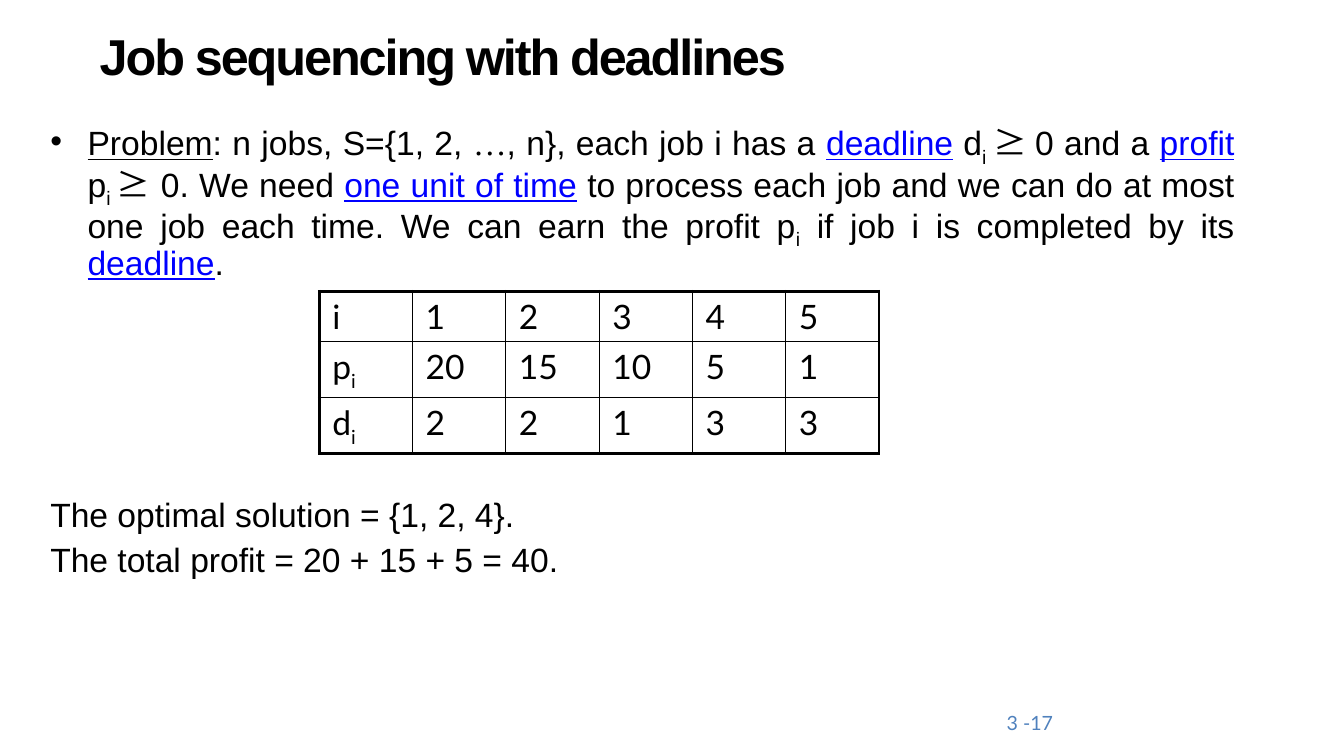
from dataclasses import dataclass, field
from typing import NamedTuple

from lxml import etree
from pptx import Presentation
from pptx.dml.color import RGBColor
from pptx.enum.text import MSO_ANCHOR, PP_ALIGN
from pptx.oxml.ns import qn
from pptx.util import Emu, Inches, Pt

LEFT, JUSTIFY = PP_ALIGN.LEFT, PP_ALIGN.JUSTIFY
TOP, MIDDLE = MSO_ANCHOR.TOP, MSO_ANCHOR.MIDDLE
TITLE_ONLY = 5
SLIDE_WIDTH, SLIDE_HEIGHT = Inches(13.33), Inches(7.5)
COLUMNS, ROWS = 120, 75


@dataclass(frozen=True)
class Theme:
    ink: RGBColor = RGBColor(0, 0, 0)
    key: RGBColor = RGBColor(0, 0, 255)
    number: RGBColor = RGBColor(0x4F, 0x81, 0xBD)
    text_font: str = "Arial"
    table_font: str = "Lato"
    symbol_font: str = "Noto Sans CJK TC"
    ellipsis_font: str = "Times New Roman"
    title_size: float = 36
    text_size: float = 24
    number_size: float = 14
    outer_line: float = 2.25
    inner_line: float = 1


THEME = Theme()


class Area(NamedTuple):
    """A place on the slide, in grid columns and rows."""
    column: float
    row: float
    columns: float
    rows: float

    def box(self) -> tuple[Emu, Emu, Emu, Emu]:
        across, down = SLIDE_WIDTH / COLUMNS, SLIDE_HEIGHT / ROWS
        return (Emu(round(self.column * across)), Emu(round(self.row * down)),
                Emu(round(self.columns * across)), Emu(round(self.rows * down)))


@dataclass(frozen=True)
class Span:
    text: str
    style: dict = field(default_factory=dict)


KEY = {"color": THEME.key, "underline": True}
SUBSCRIPT = {"baseline": -25}
SYMBOL = {"font": THEME.symbol_font}

PROBLEM = [
    Span("Problem", {"underline": True}),
    Span(": n jobs, S={1, 2, "),
    Span("…", {"font": THEME.ellipsis_font}),
    Span(", n}, each job i has a "),
    Span("deadline", KEY),
    Span(" d"),
    Span("i ", SUBSCRIPT),
    Span("≥ ", SYMBOL),
    Span("0 and a "),
    Span("profit", KEY),
    Span(" p"),
    Span("i ", SUBSCRIPT),
    Span("≥", SYMBOL),
    Span(" 0. We need "),
    Span("one unit of time", KEY),
    Span(" to process each job and we can do at most one job each time. "
         "We can earn the profit p"),
    Span("i", SUBSCRIPT),
    Span(" if job i is completed by its "),
    Span("deadline", KEY),
    Span("."),
]
RESULTS = ["The optimal solution = {1, 2, 4}.",
           "The total profit = 20 + 15 + 5 = 40."]
JOBS = [
    ([Span("i")], [1, 2, 3, 4, 5]),
    ([Span("p"), Span("i", SUBSCRIPT)], [20, 15, 10, 5, 1]),
    ([Span("d"), Span("i", SUBSCRIPT)], [2, 2, 1, 3, 3]),
]


def write(paragraph, text: str, *, font: str = THEME.text_font,
          size: float = THEME.text_size, color: RGBColor = THEME.ink,
          bold: bool = False, underline: bool = False,
          baseline: int = 0, spacing: float = 0) -> None:
    run = paragraph.add_run()
    run.text = text
    run.font.name, run.font.size = font, Pt(size)
    run.font.bold, run.font.underline = bold, underline
    run.font.color.rgb = color
    properties = run._r.get_or_add_rPr()
    if baseline:
        properties.set("baseline", str(baseline * 1000))
    if spacing:
        properties.set("spc", str(round(spacing * 100)))


def add_text_box(slide, area: Area, anchor=TOP):
    frame = slide.shapes.add_textbox(*area.box()).text_frame
    frame.word_wrap = True
    frame.vertical_anchor = anchor
    return frame


def space(paragraph, alignment=LEFT) -> None:
    paragraph.alignment = alignment
    paragraph.line_spacing = 0.9
    paragraph.space_before = Pt(6)


def add_bullet(paragraph) -> None:
    properties = paragraph._p.get_or_add_pPr()
    properties.set("marL", str(Inches(0.37)))
    properties.set("indent", str(-Inches(0.37)))
    etree.SubElement(properties, qn("a:buFont"), typeface=THEME.text_font)
    etree.SubElement(properties, qn("a:buChar"), char="•")


def add_border(cell, side: str, width: float) -> None:
    line = etree.SubElement(cell._tc.get_or_add_tcPr(), qn(f"a:ln{side}"), w=str(Pt(width)))
    fill = etree.SubElement(line, qn("a:solidFill"))
    etree.SubElement(fill, qn("a:srgbClr"), val=str(THEME.ink))


def add_title(slide, area: Area, text: str) -> None:
    title = slide.shapes.title
    title.left, title.top, title.width, title.height = area.box()
    title.text_frame.vertical_anchor = MIDDLE
    paragraph = title.text_frame.paragraphs[0]
    paragraph.alignment = LEFT
    write(paragraph, text, size=THEME.title_size, bold=True, spacing=-1.5)


def add_job_table(slide, area: Area) -> None:
    row_count, column_count = len(JOBS), 1 + len(JOBS[0][1])
    table = slide.shapes.add_table(row_count, column_count, *area.box()).table
    table.first_row = table.horz_banding = False
    for row, (label, values) in enumerate(JOBS):
        contents = [label] + [[Span(str(value))] for value in values]
        for column, spans in enumerate(contents):
            cell = table.cell(row, column)
            cell.margin_left = cell.margin_right = Inches(0.13)
            paragraph = cell.text_frame.paragraphs[0]
            for span in spans:
                write(paragraph, span.text, font=THEME.table_font, **span.style)
            edges = {"L": column == 0, "R": column == column_count - 1,
                     "T": row == 0, "B": row == row_count - 1}
            for side, outer in edges.items():
                add_border(cell, side, THEME.outer_line if outer else THEME.inner_line)
            cell.fill.background()


def main() -> None:
    presentation = Presentation()
    presentation.slide_width, presentation.slide_height = SLIDE_WIDTH, SLIDE_HEIGHT
    slide = presentation.slides.add_slide(presentation.slide_layouts[TITLE_ONLY])

    add_title(slide, Area(8, 1.7, 110, 7.5), "Job sequencing with deadlines")

    problem = add_text_box(slide, Area(3.6, 11.7, 107.5, 17)).paragraphs[0]
    space(problem, JUSTIFY)
    add_bullet(problem)
    for span in PROBLEM:
        write(problem, span.text, **span.style)

    add_job_table(slide, Area(28.5, 28.9, 50, 15))

    results = add_text_box(slide, Area(3.6, 49, 107.5, 10))
    for index, text in enumerate(RESULTS):
        paragraph = results.add_paragraph() if index else results.paragraphs[0]
        space(paragraph)
        write(paragraph, text)

    number = add_text_box(slide, Area(89, 69.2, 25, 5), MIDDLE)
    write(number.paragraphs[0], "3 -17", font=THEME.table_font,
          size=THEME.number_size, color=THEME.number)

    presentation.save("out.pptx")


if __name__ == "__main__":
    main()
